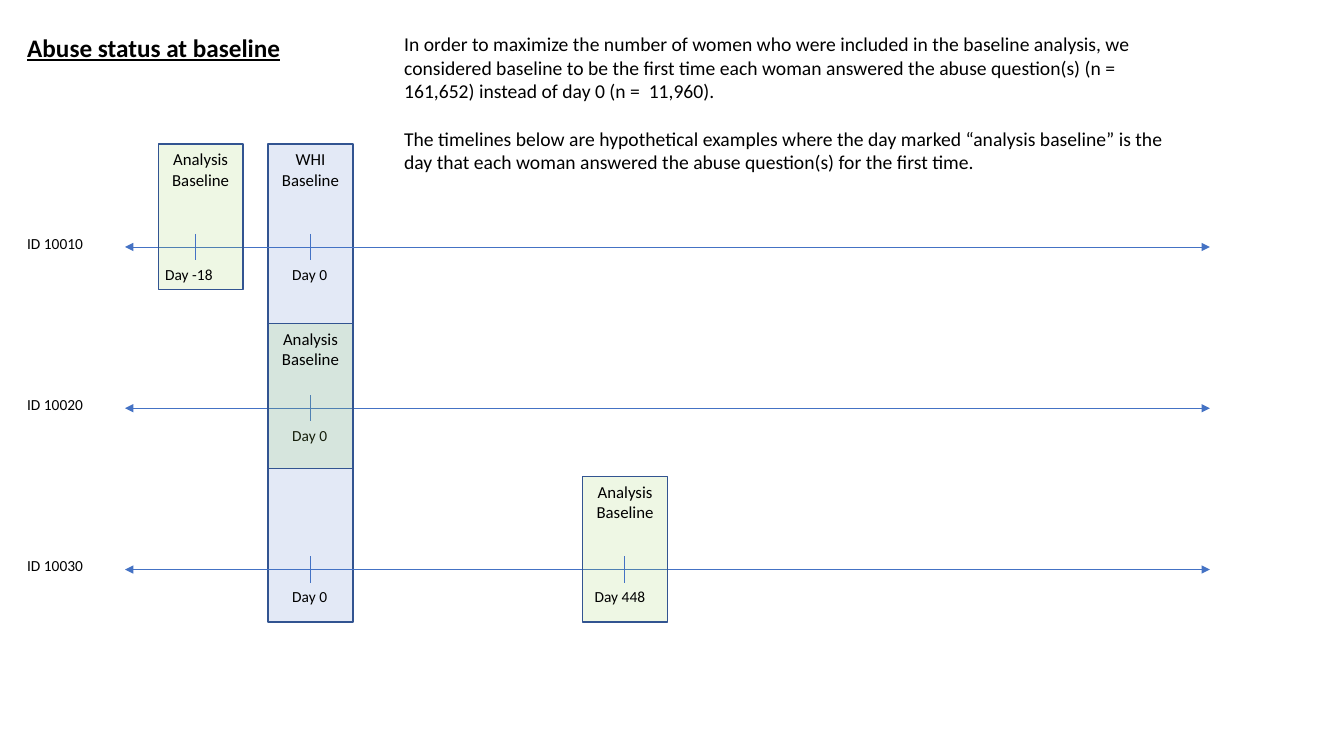
from lxml import etree
from pptx import Presentation
from pptx.dml.color import RGBColor
from pptx.enum import shapes, text
from pptx.oxml import ns
from pptx.util import Inches, Pt

COLORS = {"text": "000000", "whi": "4472C4", "analysis": "92D050",
          "outline": "325491", "timeline": "4472C4"}

presentation = Presentation()
presentation.slide_width = Inches(13.33)
presentation.slide_height = Inches(7.5)
slide = presentation.slides.add_slide(presentation.slide_layouts[5])


def add_text(place, paragraphs, size, fill=None):
    position = [Inches(length) for length in place]
    if fill:
        shape = slide.shapes.add_shape(shapes.MSO_SHAPE.RECTANGLE, *position)
        shape.shadow.inherit = False
        shape.fill.solid()
        shape.fill.fore_color.rgb = RGBColor.from_string(COLORS[fill])
        color = shape.fill._xPr.find(".//" + ns.qn("a:srgbClr"))
        etree.SubElement(color, ns.qn("a:alpha"), val="15000")
        shape.line.color.rgb = RGBColor.from_string(COLORS["outline"])
        shape.line.width = Pt(1)
    else:
        shape = slide.shapes.add_textbox(*position)
    frame = shape.text_frame
    frame.word_wrap = True
    frame.vertical_anchor = text.MSO_ANCHOR.TOP
    frame.text = "\n".join(paragraphs)
    for index, paragraph in enumerate(frame.paragraphs):
        paragraph.alignment = text.PP_ALIGN.CENTER if fill else text.PP_ALIGN.LEFT
        paragraph.space_before = Pt(17 if index else 0)
        font_format = {"name": "Calibri", "size": Pt(size)}
        for name, value in font_format.items():
            setattr(paragraph.font, name, value)
        paragraph.font.color.rgb = RGBColor.from_string(COLORS["text"])


def add_line(left, top, right, bottom, arrows=False):
    ends = [Inches(length) for length in (left, top, right, bottom)]
    connector = slide.shapes.add_connector(shapes.MSO_CONNECTOR.STRAIGHT, *ends)
    connector.line.color.rgb = RGBColor.from_string(COLORS["timeline"])
    connector.line.width = Pt(0.5)
    properties = connector._element.spPr
    if arrows:
        outline = properties.find(ns.qn("a:ln"))
        for end in ("a:headEnd", "a:tailEnd"):
            etree.SubElement(outline, ns.qn(end), type="triangle")
    etree.SubElement(properties, ns.qn("a:effectLst"))


title = slide.shapes.title
title_place = {"left": 0.17, "top": 0.27, "width": 2.91, "height": 0.4}
for name, value in title_place.items():
    setattr(title, name, Inches(value))
title.text_frame.text = "Abuse status at baseline"
title.text_frame.vertical_anchor = text.MSO_ANCHOR.TOP
title.text_frame.paragraphs[0].alignment = text.PP_ALIGN.LEFT
title_font = title.text_frame.paragraphs[0].runs[0].font
title_format = {"name": "Calibri", "size": Pt(18), "bold": True, "underline": True}
for name, value in title_format.items():
    setattr(title_font, name, value)
title_font.color.rgb = RGBColor.from_string(COLORS["text"])

add_text((3.91, 0.27, 7.79, 1.51), [
    "In order to maximize the number of women who were included in the baseline "
    "analysis, we considered baseline to be the first time each woman answered the "
    "abuse question(s) (n = 161,652) instead of day 0 (n =  11,960).",
    "The timelines below are hypothetical examples where the day marked “analysis "
    "baseline” is the day that each woman answered the abuse question(s) for the "
    "first time.",
], 14)

BOX_WIDTH = 0.84
add_text((2.66, 1.43, BOX_WIDTH, 4.74), ["WHI Baseline"], 12, "whi")

FIRST_TIMELINE, TIMELINE_STEP, TICK = 2.45, 1.6, 0.13
women = [
    ("ID 10010", 1.57, 1.43, ("Day -18", 1.54, 1.94)),
    ("ID 10020", 2.66, 3.21, None),
    ("ID 10030", 5.78, 4.73, ("Day 448", 5.8, 6.19)),
]
for row, (woman, box_left, box_top, first_answer) in enumerate(women):
    timeline = FIRST_TIMELINE + row * TIMELINE_STEP
    add_text((0.17, timeline - 0.18, 0.8, 0.29), [woman], 11)
    add_line(1.24, timeline, 12, timeline, arrows=True)
    add_line(3.08, timeline - TICK, 3.08, timeline + TICK)
    add_text((2.8, timeline + TICK, 0.56, 0.29), ["Day 0"], 11)
    add_text((box_left, box_top, BOX_WIDTH, 1.44), ["Analysis Baseline"], 12, "analysis")
    if first_answer:
        day, label_left, tick_left = first_answer
        add_line(tick_left, timeline - TICK, tick_left, timeline + TICK)
        add_text((label_left, timeline + TICK, 0.8, 0.29), [day], 11)

presentation.save("out.pptx")
